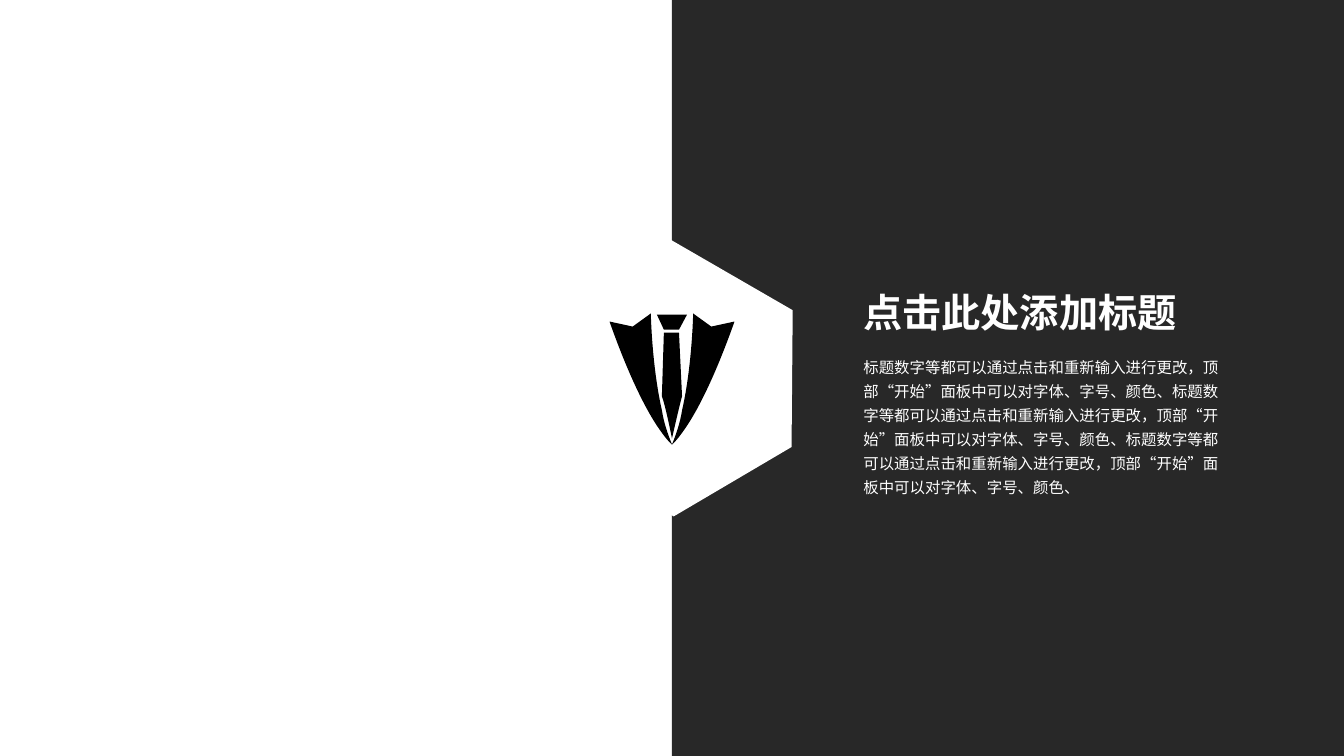
from lxml import etree
from pptx import Presentation
from pptx.dml.color import RGBColor
from pptx.enum.shapes import MSO_SHAPE
from pptx.enum.text import MSO_ANCHOR, MSO_AUTO_SIZE, PP_ALIGN
from pptx.oxml.ns import qn
from pptx.util import Cm, Pt

RECTANGLE, HEXAGON = MSO_SHAPE.RECTANGLE, MSO_SHAPE.HEXAGON
TOP, LEFT, NO_FIT = MSO_ANCHOR.TOP, PP_ALIGN.LEFT, MSO_AUTO_SIZE.NONE

WHITE = RGBColor(0xFF, 0xFF, 0xFF)
BLACK = RGBColor(0, 0, 0)
CHARCOAL = RGBColor(0x28, 0x28, 0x28)
CJK_FONT = "Noto Sans CJK SC"
TITLE_FONT = "TeX Gyre Adventor"

TITLE = "点击此处添加标题"
SENTENCE = "标题数字等都可以通过点击和重新输入进行更改，顶部“开始”面板中可以对字体、字号、颜色、"

# Suit outlines in icon units, from the top centre of the icon.
# Each part is one corner, or the three points of a Bézier curve.
ICON_UNIT = Cm(0.0254)
KNOT = [[(7, 16)], [(15, 1)], [(-15, 1)], [(-8, 16)]]
BLADE = [[(-10, 82)], [(-6, 93), (0, 124), (0, 124)],
         [(0, 124), (7, 93), (10, 82)], [(7, 19)], [(-8, 19)]]
LAPEL = [[(-21, 0)], [(-39, 13)], [(-62, 8)],
         [(-40, 70), (-22, 102), (-11, 117)],
         [(-4, 127), (0, 130), (0, 130)],
         [(-4, 120), (-8, 109), (-10, 96)],
         [(-20, 52), (-21, 0), (-21, 0)]]


def paint(shape, color):
    shape.fill.solid()
    shape.fill.fore_color.rgb = color
    shape.line.fill.background()
    shape.shadow.inherit = False


def add_background(s, left, top, width, height):
    """Dark right half with a white hexagon on its left edge."""
    panel = s.shapes.add_shape(RECTANGLE, left, top, width, height)
    paint(panel, CHARCOAL)

    hex_w, hex_h = Cm(6.96), Cm(6)
    hexagon = s.shapes.add_shape(HEXAGON, left - hex_w // 2,
                                 top + (height - hex_h) // 2, hex_w, hex_h)
    hexagon.adjustments[0] = 0.283
    hexagon.adjustments[1] = 1.155
    hexagon.rotation = 30
    paint(hexagon, WHITE)


def add_outline(group, outline, center, top):
    """Draw a closed outline, joining each three-point part as a curve."""
    points = [point for part in outline for point in part]
    builder = group.shapes.build_freeform(*points[0], scale=ICON_UNIT)
    builder.add_line_segments(points[1:], close=True)
    shape = builder.convert_to_shape(center, top)
    lines = iter(list(shape._element.iter(qn("a:lnTo"))))
    for part in outline[1:]:
        segment = [next(lines) for _ in part]
        if len(part) == 3:
            curve = etree.Element(qn("a:cubicBezTo"))
            segment[0].addprevious(curve)
            for line in segment:
                curve.append(line[0])
                line.getparent().remove(line)
    paint(shape, BLACK)


def add_suit_icon(s, center, top):
    """Tie between two mirrored lapels."""
    group = s.shapes.add_group_shape()
    mirrored = [[(-x, y) for x, y in part] for part in LAPEL]
    for outline in (KNOT, BLADE, LAPEL, mirrored):
        add_outline(group, outline, center, top)


def fill_text(sp, box, text, wrap, fonts):
    """Place a placeholder in its box and format its only paragraph."""
    sp.left, sp.top, sp.width, sp.height = box
    tf = sp.text_frame
    for name, value in {"word_wrap": wrap, "auto_size": NO_FIT,
                        "vertical_anchor": TOP}.items():
        setattr(tf, name, value)

    p = tf.paragraphs[0]
    for name, value in {"alignment": LEFT, "line_spacing": 1.3,
                        "space_before": Pt(0)}.items():
        setattr(p, name, value)
    pPr = p._p.get_or_add_pPr()
    pPr.set("marL", "0")
    pPr.set("indent", "0")
    etree.SubElement(pPr, qn("a:buNone"))

    r = p.add_run()
    r.text = text
    for name, value in fonts.items():
        setattr(r.font, name, value)
    r.font.color.rgb = WHITE
    ea = etree.SubElement(r._r.get_or_add_rPr(), qn("a:ea"))
    ea.set("typeface", CJK_FONT)


def add_message(s, left, top, width):
    """Title with the body text below it."""
    title, body = s.shapes.title, s.placeholders[1]
    fill_text(title, (left, top, Cm(8.48), Cm(1.65)), TITLE, False,
              {"name": TITLE_FONT, "size": Pt(28), "bold": True})
    fill_text(body, (left, top + Cm(1.98), width, Cm(3.91)), SENTENCE * 3,
              True, {"name": CJK_FONT, "size": Pt(11), "bold": False})
    # Bring the text in front of the dark panel
    for sp in (body, title):
        s.shapes._spTree.append(sp._element)


def main():
    prs = Presentation()
    prs.slide_width, prs.slide_height = Cm(33.87), Cm(19.05)
    s = prs.slides.add_slide(prs.slide_layouts[1])
    middle = prs.slide_width // 2

    add_background(s, middle, 0, prs.slide_width - middle, prs.slide_height)
    add_suit_icon(s, middle, Cm(7.9))
    add_message(s, middle + Cm(4.57), Cm(6.78), Cm(9.5))
    prs.save("out.pptx")


if __name__ == "__main__":
    main()
